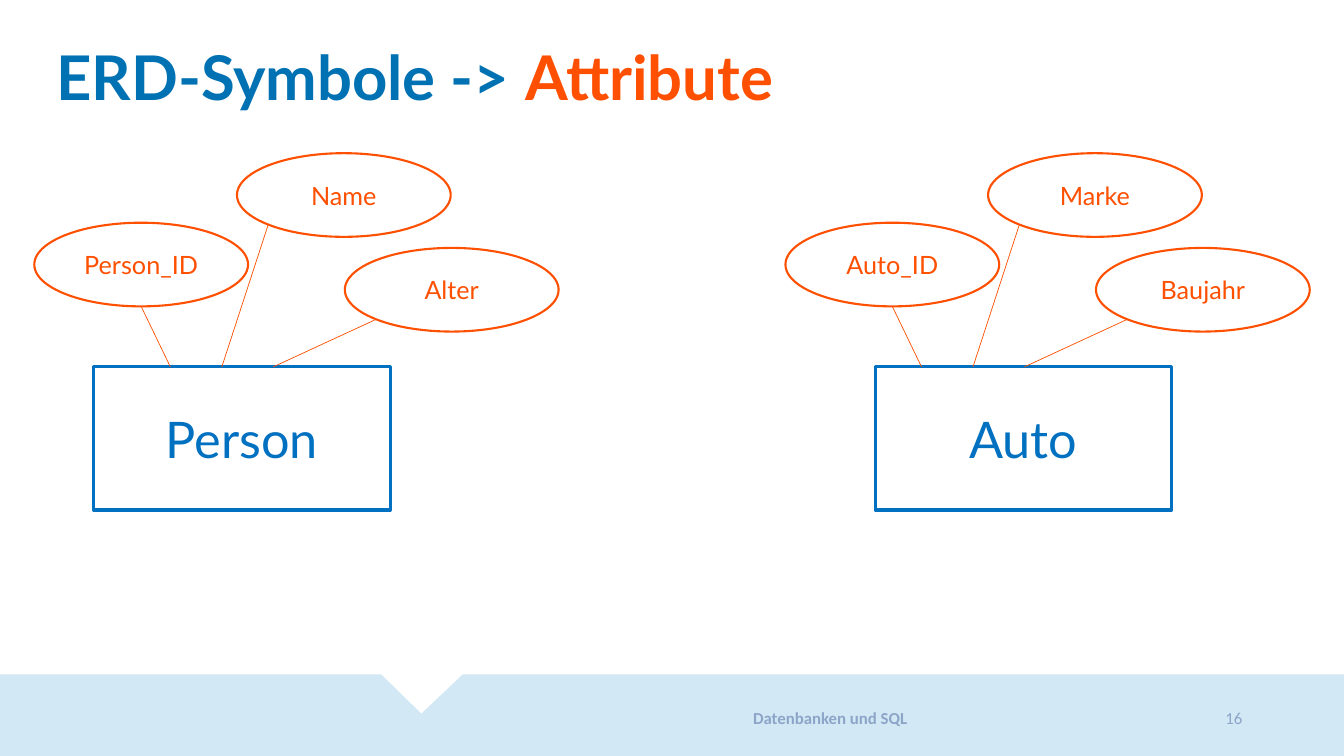
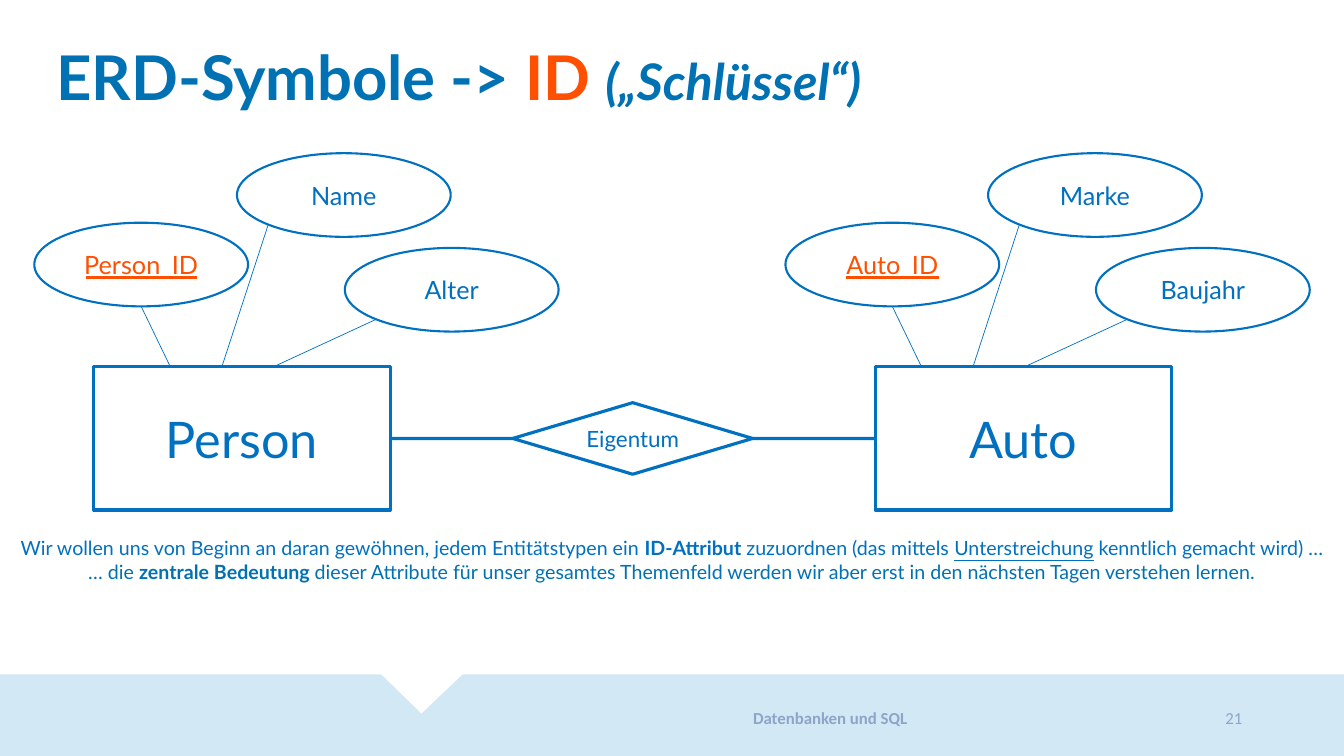
import collections
import dataclasses
import math

import pptx
import pptx.dml.color
import pptx.enum.shapes
import pptx.enum.text
import pptx.oxml
import pptx.util

Inches = pptx.util.Inches
Pt = pptx.util.Pt
SHAPE = pptx.enum.shapes.MSO_SHAPE
STRAIGHT = pptx.enum.shapes.MSO_CONNECTOR.STRAIGHT
ALIGN = pptx.enum.text.PP_ALIGN
ANCHOR = pptx.enum.text.MSO_ANCHOR

Box = collections.namedtuple("Box", "left top width height")


@dataclasses.dataclass(frozen=True)
class Theme:
    font: str = "Lato"
    footer_font: str = "Calibri"
    title: str = "0071B2"
    blue: str = "0070C0"
    orange: str = "FE5000"
    band: str = "D2E8F4"
    footer: str = "8CA5C9"
    title_size: int = 44
    subtitle_size: int = 36
    entity_size: int = 36
    attribute_size: int = 18
    relation_size: int = 16
    note_size: int = 14
    footer_size: int = 12
    thick_line: float = 2.25
    attribute_line: float = 1.5
    thin_line: float = 0.5


@dataclasses.dataclass(frozen=True)
class Run:
    text: str
    color: str = ""
    size: int = 0
    bold: bool = False
    italic: bool = False
    underline: bool = False


@dataclasses.dataclass(frozen=True)
class Entity:
    name: str
    attributes: tuple
    box: Box
    attributes_left: float
    key_line_width: float


THEME = Theme()
SLIDE_WIDTH, SLIDE_HEIGHT = 13.33, 7.5
ENTITIES = (
    Entity("Person", ("Person_ID", "Name", "Alter"), Box(0.93, 3.64, 2.94, 1.42), 0.34, 1.1),
    Entity("Auto", ("Auto_ID", "Marke", "Baujahr"), Box(8.68, 3.64, 2.94, 1.42), 7.79, 0.92),
)
ATTRIBUTE_SIZE = (2.12, 0.83)
ATTRIBUTE_OFFSETS = ((0, 0.69), (2.01, 0), (3.08, 0.94))
ATTRIBUTES_TOP = 1.52
FIRST_JOINT, JOINT_STEP = 1.35, 0.51


def rgb(color):
    return pptx.dml.color.RGBColor.from_string(color)


def inches(box):
    return [Inches(length) for length in box]


def style_font(font, size, color, name=THEME.font, bold=None):
    font.name, font.size, font.bold = name, Pt(size), bold
    font.color.rgb = rgb(color)


def add_runs(paragraph, runs):
    """Add runs that state only what differs from the paragraph font."""
    for part in runs:
        run = paragraph.add_run()
        run.text = part.text
        if part.color:
            run.font.color.rgb = rgb(part.color)
        if part.size:
            run.font.size = Pt(part.size)
        for name in ("bold", "italic", "underline"):
            if getattr(part, name):
                setattr(run.font, name, True)


def add_text_box(slide, box, anchor=ANCHOR.TOP):
    frame = slide.shapes.add_textbox(*inches(box)).text_frame
    frame.word_wrap = True
    frame.vertical_anchor = anchor
    return frame


def add_outlined_shape(slide, kind, box, text, size, text_color, line_color, line_width):
    shape = slide.shapes.add_shape(kind, *inches(box))
    shape.shadow.inherit = False
    shape.fill.background()
    shape.line.color.rgb = rgb(line_color)
    shape.line.width = Pt(line_width)
    shape.text_frame.vertical_anchor = ANCHOR.MIDDLE
    paragraph = shape.text_frame.paragraphs[0]
    paragraph.text = text
    paragraph.alignment = ALIGN.CENTER
    style_font(paragraph.font, size, text_color)
    return shape


def add_line(slide, start, end, color, width):
    line = slide.shapes.add_connector(STRAIGHT, *inches(start + end))
    line.line.color.rgb = rgb(color)
    line.line.width = Pt(width)
    properties = line._element.spPr
    properties.append(properties.makeelement(pptx.oxml.ns.qn("a:effectLst"), {}))
    return line


def add_band(slide, top):
    """Draw the bottom band with its triangular notch."""
    outline = [(0, top), (3.78, top), (4.18, top + 0.39), (4.59, top),
               (SLIDE_WIDTH, top), (SLIDE_WIDTH, SLIDE_HEIGHT), (0, SLIDE_HEIGHT)]
    points = [(Inches(x), Inches(y)) for x, y in outline]
    builder = slide.shapes.build_freeform(*points[0], scale=1.0)
    builder.add_line_segments(points[1:], close=True)
    band = builder.convert_to_shape()
    band.shadow.inherit = False
    band.fill.solid()
    band.fill.fore_color.rgb = rgb(THEME.band)
    band.line.fill.background()


def add_footer(slide, number):
    for text, box, alignment, bold in (
        ("Datenbanken und SQL", Box(5.87, 6.9, 4.73, 0.45), ALIGN.CENTER, True),
        (number, Box(10.6, 6.9, 1.82, 0.45), ALIGN.RIGHT, False),
    ):
        paragraph = add_text_box(slide, box, ANCHOR.MIDDLE).paragraphs[0]
        paragraph.text = text
        paragraph.alignment = alignment
        style_font(paragraph.font, THEME.footer_size, THEME.footer, THEME.footer_font, bold)


def add_title(slide, box, runs):
    paragraph = add_text_box(slide, box).paragraphs[0]
    paragraph.line_spacing = 0.9
    add_runs(paragraph, runs)
    style_font(paragraph.font, THEME.title_size, THEME.title, bold=True)


def add_base_slide(presentation, title_runs, number):
    slide = presentation.slides.add_slide(presentation.slide_layouts[6])
    add_band(slide, 6.69)
    add_title(slide, Box(0.46, 0.42, 10.96, 0.79), title_runs)
    add_footer(slide, number)
    return slide


def add_attributes(slide, entity, color, mark_key):
    """Draw the attribute ellipses and join them to the top of the entity."""
    width, height = ATTRIBUTE_SIZE
    diagonal = math.sqrt(0.5)
    for index, (name, offset) in enumerate(zip(entity.attributes, ATTRIBUTE_OFFSETS)):
        is_key = index == 0
        left, top = entity.attributes_left + offset[0], ATTRIBUTES_TOP + offset[1]
        center_x, center_y = left + width / 2, top + height / 2
        text_color = THEME.orange if is_key and mark_key else color
        add_outlined_shape(slide, SHAPE.OVAL, Box(left, top, width, height), name,
                           THEME.attribute_size, text_color, color, THEME.attribute_line)
        if is_key:
            start = (center_x, top + height)
        else:
            start = (center_x - diagonal * width / 2, center_y + diagonal * height / 2)
        joint = entity.attributes_left + FIRST_JOINT + index * JOINT_STEP
        add_line(slide, start, (joint, entity.box.top), color, THEME.thin_line)
        if is_key and mark_key:
            half, y = entity.key_line_width / 2, top + 0.54
            add_line(slide, (center_x - half, y), (center_x + half, y),
                     THEME.orange, THEME.thick_line)


def add_entities(slide, attribute_color, mark_key=False):
    shapes = []
    for entity in ENTITIES:
        shapes.append(add_outlined_shape(slide, SHAPE.RECTANGLE, entity.box, entity.name,
                                         THEME.entity_size, THEME.blue, THEME.blue,
                                         THEME.thick_line))
        add_attributes(slide, entity, attribute_color, mark_key)
    return shapes


def add_relation(slide, text, entity_shapes):
    """Centre a diamond between the two entities and connect it to both."""
    first, second = (entity.box for entity in ENTITIES)
    width, height = 2.38, 0.71
    center_x = (first.left + first.width + second.left) / 2
    center_y = first.top + first.height / 2
    diamond = add_outlined_shape(
        slide, SHAPE.DIAMOND, Box(center_x - width / 2, center_y - height / 2, width, height),
        text, THEME.relation_size, THEME.blue, THEME.blue, THEME.thick_line)
    left_site, right_site = 1, 3
    for shape, diamond_site, entity_site in zip(
            entity_shapes, (left_site, right_site), (right_site, left_site)):
        line = add_line(slide, (0, 0), (0, 0), THEME.blue, THEME.thick_line)
        line.begin_connect(diamond, diamond_site)
        line.end_connect(shape, entity_site)


def add_note(slide, box, lines):
    frame = add_text_box(slide, box)
    for index, (color, runs) in enumerate(lines):
        paragraph = frame.add_paragraph() if index else frame.paragraphs[0]
        paragraph.alignment = ALIGN.CENTER
        add_runs(paragraph, runs)
        style_font(paragraph.font, THEME.note_size, color)


def add_attribute_slide(presentation):
    slide = add_base_slide(
        presentation, [Run("ERD-Symbole -> "), Run("Attribute", THEME.orange)], "16")
    add_entities(slide, THEME.orange)


def add_key_slide(presentation):
    slide = add_base_slide(
        presentation,
        [Run("ERD-Symbole -> "), Run("ID ", THEME.orange),
         Run("(„Schlüssel“)", size=THEME.subtitle_size, italic=True)], "21")
    entity_shapes = add_entities(slide, THEME.blue, mark_key=True)
    add_relation(slide, "Eigentum", entity_shapes)
    add_note(slide, Box(0, 5.27, SLIDE_WIDTH, 0.57), [
        (THEME.blue, [
            Run("Wir wollen uns von Beginn an daran gewöhnen, jedem Entitätstypen ein "),
            Run("ID-Attribut", bold=True),
            Run(" zuzuordnen (das mittels "),
            Run("Unterstreichung", underline=True),
            Run(" kenntlich gemacht wird) …")]),
        (THEME.title, [
            Run("… die "),
            Run("zentrale Bedeutung ", bold=True),
            Run("dieser Attribute für unser gesamtes Themenfeld werden wir aber erst "
                "in den nächsten Tagen verstehen lernen.")]),
    ])


def main():
    presentation = pptx.Presentation()
    presentation.slide_width = Inches(SLIDE_WIDTH)
    presentation.slide_height = Inches(SLIDE_HEIGHT)
    add_attribute_slide(presentation)
    add_key_slide(presentation)
    presentation.save("out.pptx")


if __name__ == "__main__":
    main()
